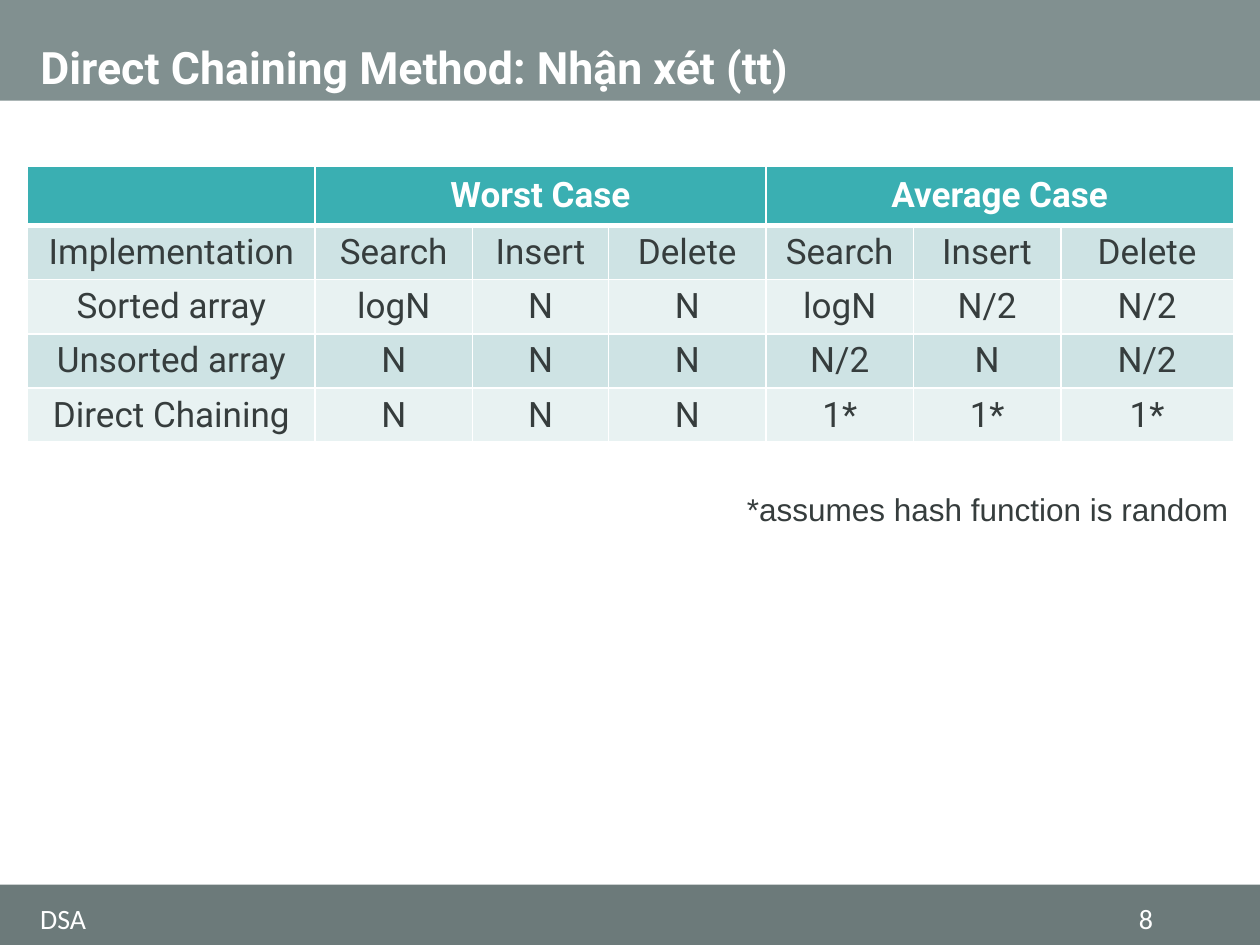
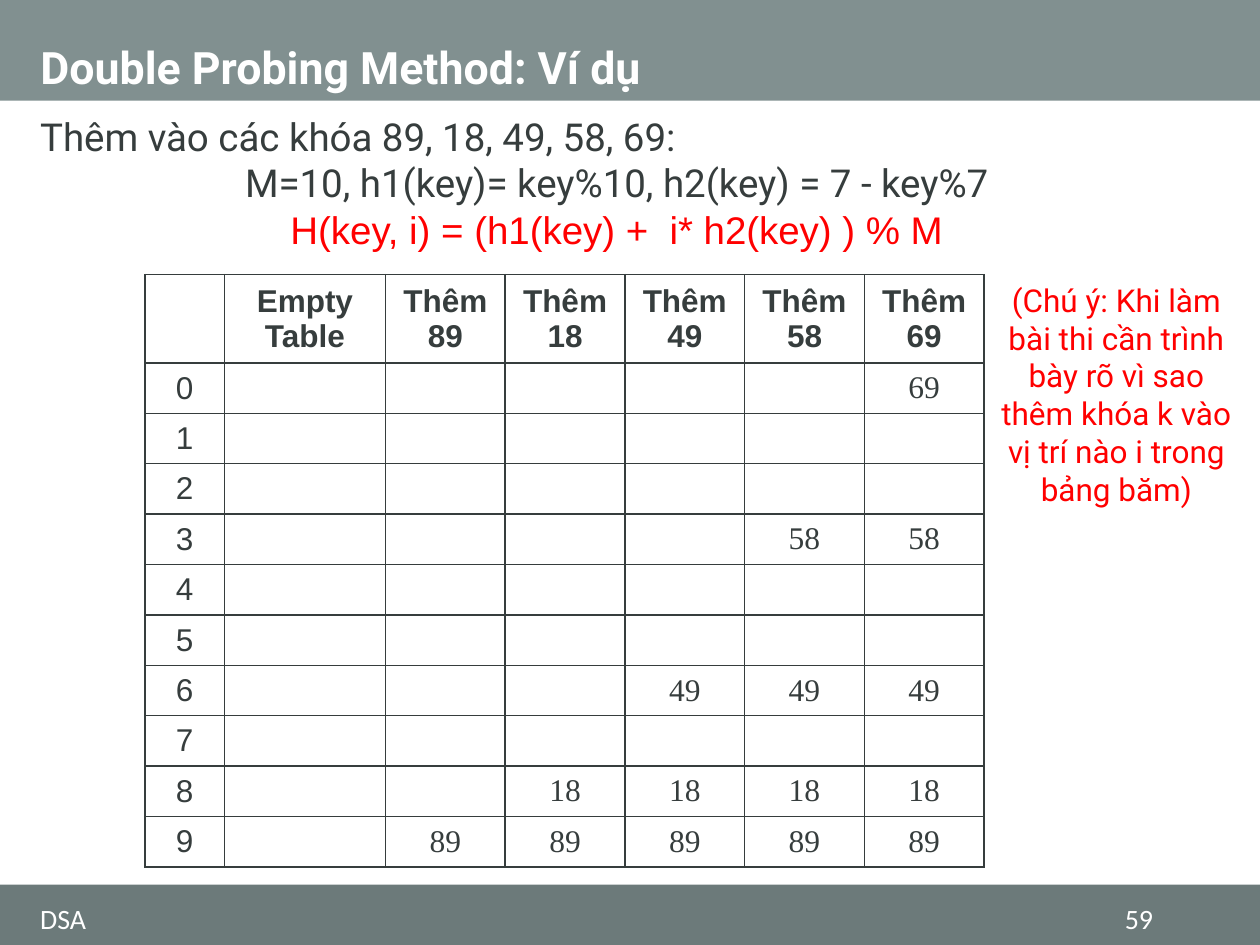
from dataclasses import dataclass

from pptx import Presentation
from pptx.dml.color import RGBColor
from pptx.enum.shapes import MSO_SHAPE
from pptx.enum.text import MSO_ANCHOR as ANCHOR, MSO_AUTO_SIZE as FIT, PP_ALIGN as ALIGN
from pptx.oxml.ns import qn
from pptx.util import Inches, Pt
from lxml.etree import SubElement


# ---- Content ----
COMPARISON = {
    "title": "Direct Chaining Method: Nhận xét (tt)",
    "number": 8,
    "rows": [
        ["", "Worst Case", "", "", "Average Case", "", ""],
        ["Implementation"] + ["Search", "Insert", "Delete"] * 2,
        ["Sorted array", "logN", "N", "N", "logN", "N/2", "N/2"],
        ["Unsorted array", "N", "N", "N", "N/2", "N", "N/2"],
        ["Direct Chaining", "N", "N", "N", "1*", "1*", "1*"],
    ],
    "merged": [(1, 3), (4, 6)],
    "footnote": "*assumes hash function is random",
}
PROBING = {
    "title": "Double Probing Method: Ví dụ",
    "number": 59,
    "task": "Thêm vào các khóa 89, 18, 49, 58, 69:",
    "functions": "M=10, h1(key)= key%10, h2(key) = 7 - key%7",
    "formula": "H(key, i) = (h1(key) +  i* h2(key) ) % M",
    "keys": [89, 18, 49, 58, 69],
    "slots": 10,
    "note": "(Chú ý: Khi làm bài thi cần trình bày rõ vì sao "
            "thêm khóa k vào vị trí nào i trong bảng băm)",
}
FOOTER = "DSA"


@dataclass(frozen=True)
class Theme:
    band: str = "819090"
    footer_band: str = "6C7A7A"
    white: str = "FFFFFF"
    ink: str = "363D3D"
    alert: str = "FF0000"
    header: str = "3AAFB2"
    stripes: tuple = ("CEE3E4", "E8F2F2")
    main: str = "Roboto"
    plain: str = "Arial"
    digits: str = "Times New Roman"
    small: str = "Calibri"
    title_pt: float = 25.5
    lead_pt: float = 22
    table_pt: float = 20
    text_pt: float = 18
    footer_pt: float = 16


T = Theme()
W, H = 10, 7.5
MARGIN = 0.22
BAND_H, FOOTER_H = 0.8, 0.48
CONTENT_W = 9.57


# ---- Helpers ----
def rgb(color):
    return RGBColor.from_string(color)


def style(p, font, size, color, bold=False, align=ALIGN.LEFT):
    p.alignment = align
    for r in p.runs:
        r.font.name, r.font.size, r.font.bold = font, Pt(size), bold
        r.font.color.rgb = rgb(color)


def add_text(slide, box, lines, anchor=ANCHOR.TOP, wrap=True, fit=FIT.NONE):
    """Add a text box; each line is (text, font, size, colour, alignment)."""
    tf = slide.shapes.add_textbox(*map(Inches, box)).text_frame
    tf.word_wrap, tf.auto_size, tf.vertical_anchor = wrap, fit, anchor
    for i, (text, font, size, color, align) in enumerate(lines):
        p = tf.add_paragraph() if i else tf.paragraphs[0]
        p.text = text
        style(p, font, size, color, align=align)


def set_borders(cell, color, widths):
    """Draw the left, right, top and bottom borders, widths in points."""
    tc_pr = cell._tc.get_or_add_tcPr()
    for i, (side, width) in enumerate(zip("LRTB", widths)):
        ln = SubElement(tc_pr, qn("a:ln" + side), w=str(Pt(width)))
        fill = SubElement(ln, qn("a:solidFill"))
        SubElement(fill, qn("a:srgbClr"), val=color)
        tc_pr.insert(i, ln)


def add_grid(slide, left, top, cols, row_heights, rows, look):
    """Add a table; look(r, c) gives (font, size, colour, bold, fill, border colour, widths)."""
    frame = slide.shapes.add_table(len(rows), len(cols), Inches(left), Inches(top),
                                   Inches(sum(cols)), Inches(sum(row_heights)))
    table = frame.table
    table.first_row = table.horz_banding = False
    for col, width in zip(table.columns, cols):
        col.width = Inches(width)
    for r, (row, height) in enumerate(zip(rows, row_heights)):
        table.rows[r].height = Inches(height)
        for c, text in enumerate(row):
            font, size, color, bold, fill, border, widths = look(r, c)
            cell = table.cell(r, c)
            cell.text = str(text)
            cell.vertical_anchor = ANCHOR.MIDDLE
            cell.margin_top = cell.margin_bottom = Inches(0.02)
            style(cell.text_frame.paragraphs[0], font, size, color, bold, ALIGN.CENTER)
            if fill:
                cell.fill.solid()
                cell.fill.fore_color.rgb = rgb(fill)
            else:
                cell.fill.background()
            set_borders(cell, border, widths)
    return table


def add_bands(slide, layout):
    """Draw the top and bottom bands and move them behind everything on the layout."""
    bands = [(0, BAND_H, T.band), (H - FOOTER_H, FOOTER_H, T.footer_band)]
    for top, height, color in bands:
        sp = slide.shapes.add_shape(MSO_SHAPE.RECTANGLE, 0, Inches(top), Inches(W), Inches(height))
        sp.shadow.inherit = False
        sp.fill.solid()
        sp.fill.fore_color.rgb = rgb(color)
        sp.line.fill.background()
        layout.shapes.element.insert(2, sp.element)


def add_slide(prs, layout, content):
    slide = prs.slides.add_slide(layout)
    title = slide.shapes.title
    title.left, title.top, title.width, title.height = map(Inches, (MARGIN, 0, CONTENT_W, BAND_H))
    tf = title.text_frame
    tf.text = content["title"]
    tf.vertical_anchor, tf.auto_size = ANCHOR.BOTTOM, FIT.NONE
    tf.paragraphs[0].line_spacing = 0.9
    style(tf.paragraphs[0], T.main, T.title_pt, T.white, bold=True)

    for left, width, text, align in [(MARGIN, 6.95, FOOTER, ALIGN.LEFT),
                                     (8.47, 0.78, str(content["number"]), ALIGN.RIGHT)]:
        add_text(slide, (left, 7.16, width, 0.26),
                 [(text, T.small, T.footer_pt, T.white, align)], ANCHOR.MIDDLE)
    return slide


# ---- Slides ----
def fill_comparison(slide, content):
    def look(r, c):
        head = r == 0
        fill = T.header if head else T.stripes[(r - 1) % 2]
        widths = (1, 1, 3 if r == 1 else 1, 3 if head else 1)
        return T.main, T.table_pt, T.white if head else T.ink, head, fill, T.white, widths

    rows = content["rows"]
    table = add_grid(slide, MARGIN, 1.32, [2.28, 1.25, 1.08, 1.25, 1.17, 1.17, 1.37],
                     [0.47] + [0.43] * (len(rows) - 1), rows, look)
    for first, last in content["merged"]:
        table.cell(0, first).merge(table.cell(0, last))
    add_text(slide, (5.83, 3.84, 4.06, 0.4),
             [(content["footnote"], T.plain, T.text_pt, T.ink, ALIGN.LEFT)],
             wrap=False, fit=FIT.SHAPE_TO_FIT_TEXT)


def probe_rows(keys, slots):
    """Insert the keys by double hashing; one column shows the table after each step."""
    table = [""] * slots
    steps = [table[:]]
    for key in keys:
        slot = key % slots
        while table[slot] != "":
            slot = (slot + 7 - key % 7) % slots
        table[slot] = key
        steps.append(table[:])
    header = ["", "Empty Table"] + [f"Thêm {key}" for key in keys]
    return [header] + [[i, *row] for i, row in enumerate(zip(*steps))]


def fill_probing(slide, content):
    def look(r, c):
        font = T.digits if r and c else T.plain
        return font, T.text_pt, T.ink, r == 0, None, T.ink, (1, 1, 1, 1)

    add_text(slide, (MARGIN, 0.85, 9.35, 1.58), [
        (content["task"], T.main, T.lead_pt, T.ink, ALIGN.LEFT),
        (content["functions"], T.main, T.lead_pt, T.ink, ALIGN.CENTER),
        (content["formula"], T.plain, T.lead_pt, T.alert, ALIGN.CENTER),
    ])
    keys, slots = content["keys"], content["slots"]
    add_grid(slide, 1.15, 2.18, [0.63, 1.28] + [0.95] * len(keys),
             [0.7] + [0.4] * slots, probe_rows(keys, slots), look)
    add_text(slide, (7.8, 2.18, 2.12, 2.49),
             [(content["note"], T.main, T.text_pt, T.alert, ALIGN.CENTER)])


def main():
    prs = Presentation()
    prs.slide_width, prs.slide_height = Inches(W), Inches(H)
    layout = prs.slide_layouts.get_by_name("Title Only")
    comparison = add_slide(prs, layout, COMPARISON)
    add_bands(comparison, layout)
    fill_comparison(comparison, COMPARISON)
    fill_probing(add_slide(prs, layout, PROBING), PROBING)
    prs.save("out.pptx")


if __name__ == "__main__":
    main()
